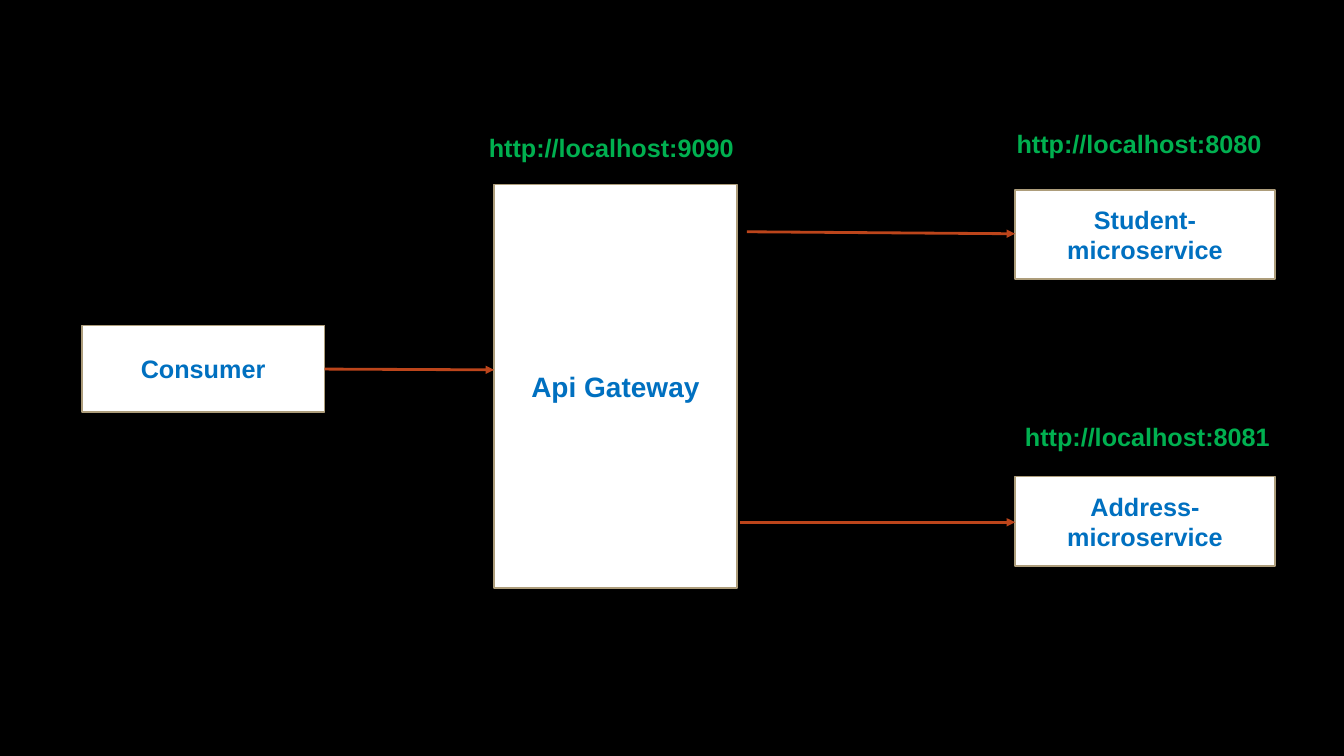
from lxml.etree import SubElement
from pptx import Presentation
from pptx.dml.color import RGBColor
from pptx.enum.shapes import MSO_CONNECTOR as Link, MSO_SHAPE as Shape
from pptx.enum.text import MSO_ANCHOR as Anchor, MSO_AUTO_SIZE as Fit, PP_ALIGN as Align
from pptx.oxml.ns import qn
from pptx.util import Cm, Pt

BLACK, WHITE, TAN = "000000", "FFFFFF", "AD9D7B"
BLUE, GREEN, RUST = "0070C0", "00B050", "BC451B"

# Lengths in centimetres: text, left, top, width, height, font size
BOXES = [
    ("Consumer", 2.06, 8.2, 6.12, 2.18, 18),
    ("Api Gateway", 12.45, 4.65, 6.12, 10.16, 20),
    ("Address-microservice", 25.58, 12.01, 6.55, 2.26, 18),
    ("Student-microservice", 25.58, 4.78, 6.55, 2.26, 18),
]
# Start x, start y, end x, end y
ARROWS = [
    (8.18, 9.3, 12.45, 9.32),
    (18.64, 13.16, 25.58, 13.16),
    (18.82, 5.84, 25.58, 5.89),
]
# Port, left, top, width
HOSTS = [
    (9090, 12.07, 3.2, 6.93),
    (8080, 25.37, 3.12, 7.34),
    (8081, 25.58, 10.49, 6.93),
]


def paint(target, color):
    """Give a fill a solid colour."""
    target.solid()
    target.fore_color.rgb = RGBColor.from_string(color)


def write(frame, text, size, color, align):
    frame.word_wrap = True
    para = frame.paragraphs[0]
    para.text = text
    para.alignment = align
    font = para.font
    font.name, font.size, font.bold = "Arial", Pt(size), True
    paint(font.fill, color)


def add_box(slide, text, left, top, width, height, size):
    box = slide.shapes.add_shape(
        Shape.RECTANGLE, Cm(left), Cm(top), Cm(width), Cm(height))
    box.shadow.inherit = False
    paint(box.fill, WHITE)
    paint(box.line.fill, TAN)
    box.line.width = Pt(1.25)
    box.text_frame.vertical_anchor = Anchor.MIDDLE
    write(box.text_frame, text, size, BLUE, Align.CENTER)


def add_arrow(slide, *ends):
    arrow = slide.shapes.add_connector(Link.STRAIGHT, *map(Cm, ends))
    paint(arrow.line.fill, RUST)
    arrow.line.width = Pt(2)
    SubElement(arrow.line._get_or_add_ln(), qn("a:tailEnd"), type="triangle")
    SubElement(arrow._element.spPr, qn("a:effectLst"))


def add_host(slide, port, left, top, width):
    label = slide.shapes.add_textbox(Cm(left), Cm(top), Cm(width), Cm(1.02))
    write(label.text_frame, f"http://localhost:{port}", 18, GREEN, Align.LEFT)
    label.text_frame.auto_size = Fit.SHAPE_TO_FIT_TEXT


def main():
    deck = Presentation()
    deck.slide_width, deck.slide_height = Cm(33.87), Cm(19.05)
    slide = deck.slides.add_slide(deck.slide_layouts[6])
    paint(slide.background.fill, BLACK)
    for box in BOXES:
        add_box(slide, *box)
    for arrow in ARROWS:
        add_arrow(slide, *arrow)
    for host in HOSTS:
        add_host(slide, *host)
    deck.save("out.pptx")


if __name__ == "__main__":
    main()
